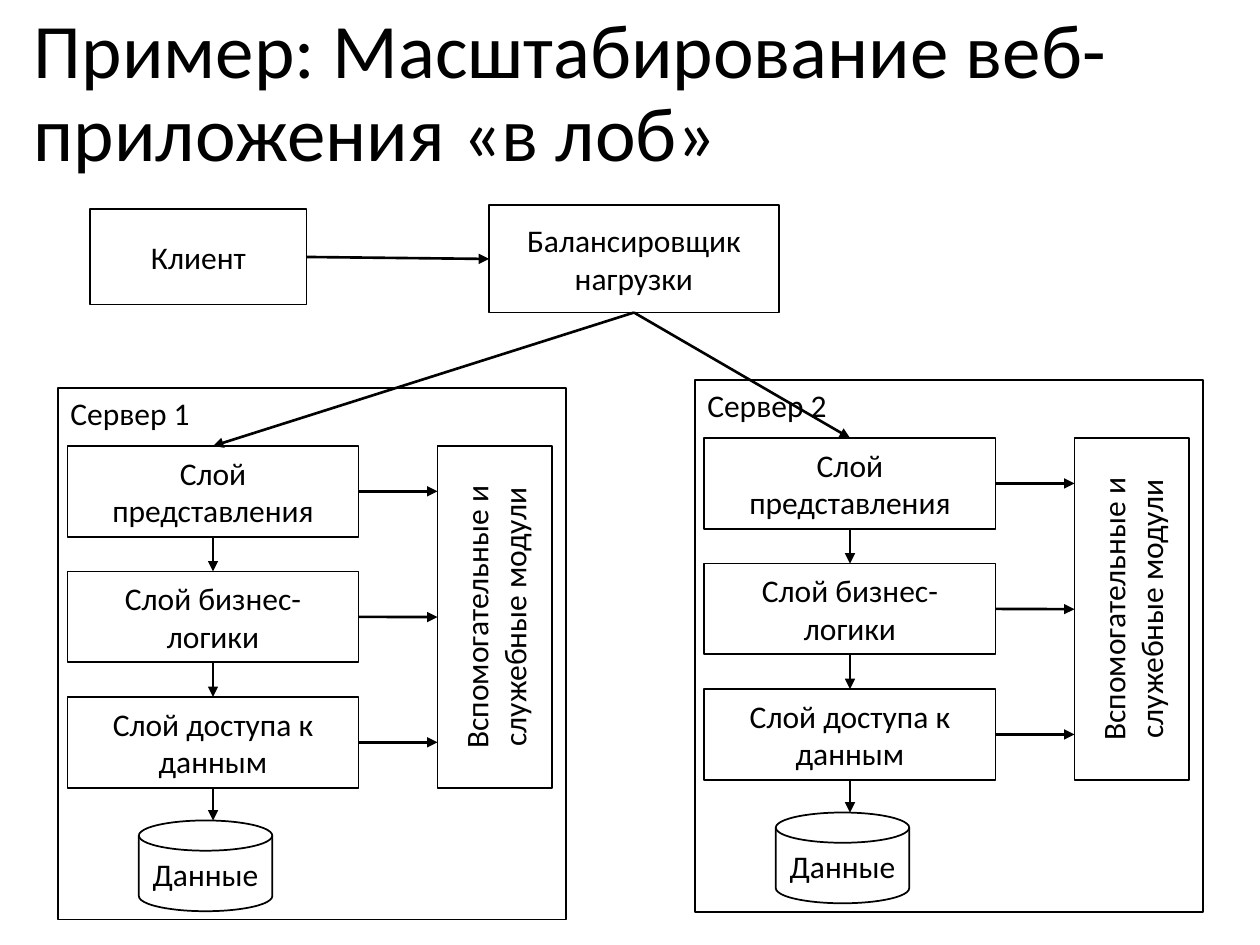
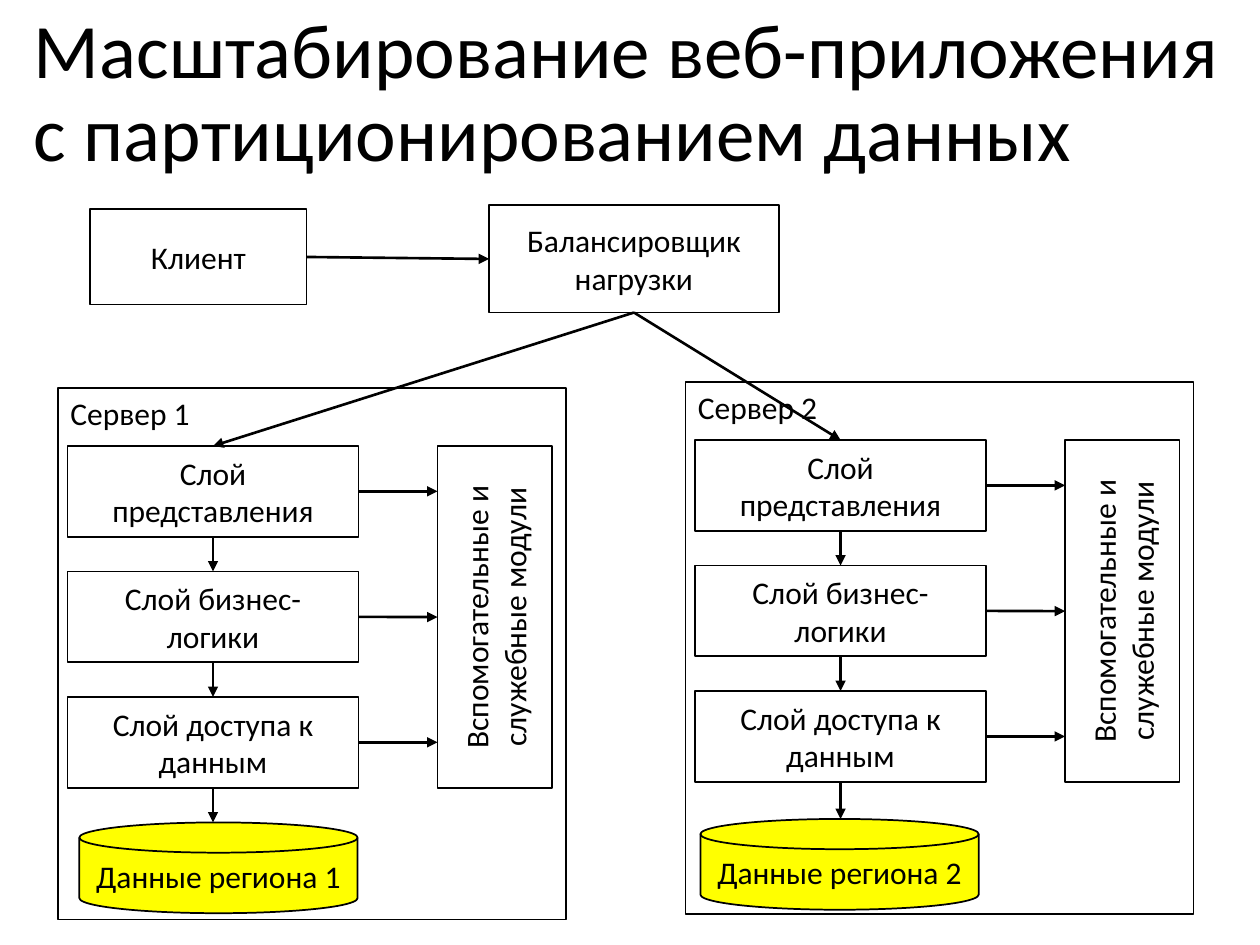
from lxml.etree import SubElement
from pptx import Presentation
from pptx.dml.color import RGBColor
from pptx.enum.shapes import MSO_CONNECTOR as Link, MSO_SHAPE as Preset
from pptx.enum.text import MSO_ANCHOR as Anchor, MSO_AUTO_SIZE as AutoSize, PP_ALIGN as Align
from pptx.oxml.ns import qn
from pptx.util import Cm, Pt

BLACK = RGBColor(0x00, 0x00, 0x00)
WHITE = RGBColor(0xFF, 0xFF, 0xFF)
YELLOW = RGBColor(0xFF, 0xFF, 0x00)

FONT = "Calibri"
TITLE_ONLY = 5
TOP, LEFT, BOTTOM, RIGHT = range(4)

LAYERS = ("Слой представления", "Слой бизнес-логики", "Слой доступа к данным")
HELPERS = "Вспомогательные и служебные модули"
LAYER_STEP = 2.53
LAYER_SIZE = (5.87, 1.83)
HELPERS_SIZE = (2.31, 6.9)
SERVER_SIZE = (10.24, 10.72)

# Per slide: title, store fill, then per server: corner, store text, store box
# (the store box is measured from the corner of its server).
SLIDES = (
    ("Пример: Масштабирование веб-приложения «в лоб»", WHITE, (
        ((1.17, 7.82), "Данные", (1.63, 8.72, 2.69, 1.83)),
        ((14.01, 7.66), "Данные", (1.63, 8.72, 2.69, 1.83)))),
    ("Масштабирование веб-приложения с партиционированием данных", YELLOW, (
        ((1.17, 7.82), "Данные региона 1", (0.43, 8.76, 5.61, 1.83)),
        ((13.82, 7.7), "Данные региона 2", (0.3, 8.81, 5.61, 1.83)))),
)


def write_text(frame, text, size=18, align=Align.CENTER, anchor=Anchor.MIDDLE, spacing=None):
    frame.word_wrap = True
    frame.auto_size = AutoSize.NONE
    frame.vertical_anchor = anchor
    paragraph = frame.paragraphs[0]
    paragraph.alignment = align
    paragraph.line_spacing = spacing
    run = paragraph.add_run()
    run.text = text
    run.font.name = FONT
    run.font.size = Pt(size)
    run.font.color.rgb = BLACK


class Diagram:
    """Holds the drawing style and the slide being drawn."""

    def __init__(self, deck):
        self.deck = deck
        self.slide = None

    def start_slide(self, heading):
        self.slide = self.deck.slides.add_slide(self.deck.slide_layouts[TITLE_ONLY])
        title = self.slide.shapes.title
        title.left, title.top, title.width, title.height = map(Cm, (0.43, 0.08, 24.69, 3.68))
        write_text(title.text_frame, heading, size=44, align=Align.LEFT, spacing=0.9)

    def box(self, text, left, top, width, height, parent=None, preset=Preset.RECTANGLE,
            fill=WHITE, upright=False, **text_format):
        shapes = (parent or self.slide).shapes
        shape = shapes.add_shape(preset, Cm(left), Cm(top), Cm(width), Cm(height))
        shape.shadow.inherit = False
        shape.fill.solid()
        shape.fill.fore_color.rgb = fill
        shape.line.color.rgb = BLACK
        shape.line.width = Pt(1)
        write_text(shape.text_frame, text, **text_format)
        if upright:
            shape.element.txBody.bodyPr.set("vert", "vert270")
        return shape

    def arrow(self, source, source_side, target=None, target_side=None, point=(0, 0), parent=None):
        """Arrow from a box side to another box side, or to a free point."""
        line = (parent or self.slide).shapes.add_connector(
            Link.STRAIGHT, source.left, source.top, *point)
        line.begin_connect(source, source_side)
        if target is not None:
            line.end_connect(target, target_side)
        line.line.color.rgb = BLACK
        line.line.width = Pt(1.5)
        properties = line.element.spPr
        SubElement(properties.find(qn("a:ln")), qn("a:tailEnd"), type="triangle")
        SubElement(properties, qn("a:effectLst"))

    def server(self, name, corner, store_text, store_box, store_fill):
        """Draws a server and returns its presentation layer."""
        left, top = corner
        group = self.slide.shapes.add_group_shape()
        self.box(name, left, top, *SERVER_SIZE, parent=group,
                 align=Align.LEFT, anchor=Anchor.TOP)
        layers = [self.box(text, left + 0.19, top + 1.17 + row * LAYER_STEP, *LAYER_SIZE,
                           parent=group)
                  for row, text in enumerate(LAYERS)]
        x, y, width, height = store_box
        store = self.box(store_text, left + x, top + y, width, height, parent=group,
                         preset=Preset.FLOWCHART_MAGNETIC_DISK, fill=store_fill)
        helpers = self.box(HELPERS, left + 7.65, top + 1.17, *HELPERS_SIZE,
                           parent=group, upright=True)

        for upper, lower in zip(layers, layers[1:]):
            self.arrow(upper, BOTTOM, lower, TOP, parent=group)
        last = layers[-1]
        self.arrow(last, BOTTOM, point=(last.left + last.width // 2, store.top), parent=group)

        first, middle, last = layers
        self.arrow(middle, RIGHT, helpers, LEFT, parent=group)
        for layer in (first, last):
            self.arrow(layer, RIGHT, point=(helpers.left, layer.top + layer.height // 2),
                       parent=group)
        return first


def main():
    deck = Presentation()
    deck.slide_width, deck.slide_height = Cm(25.4), Cm(19.05)
    diagram = Diagram(deck)
    for heading, store_fill, servers in SLIDES:
        diagram.start_slide(heading)
        entries = [diagram.server(f"Сервер {number}", *server, store_fill)
                   for number, server in enumerate(servers, 1)]
        balancer = diagram.box("Балансировщик нагрузки", 9.86, 4.14, 5.84, 2.16)
        client = diagram.box("Клиент", 1.82, 4.22, 4.36, 1.92)
        for entry in entries:
            diagram.arrow(balancer, BOTTOM, entry, TOP)
        diagram.arrow(client, RIGHT, balancer, LEFT)
    deck.save("out.pptx")


if __name__ == "__main__":
    main()
